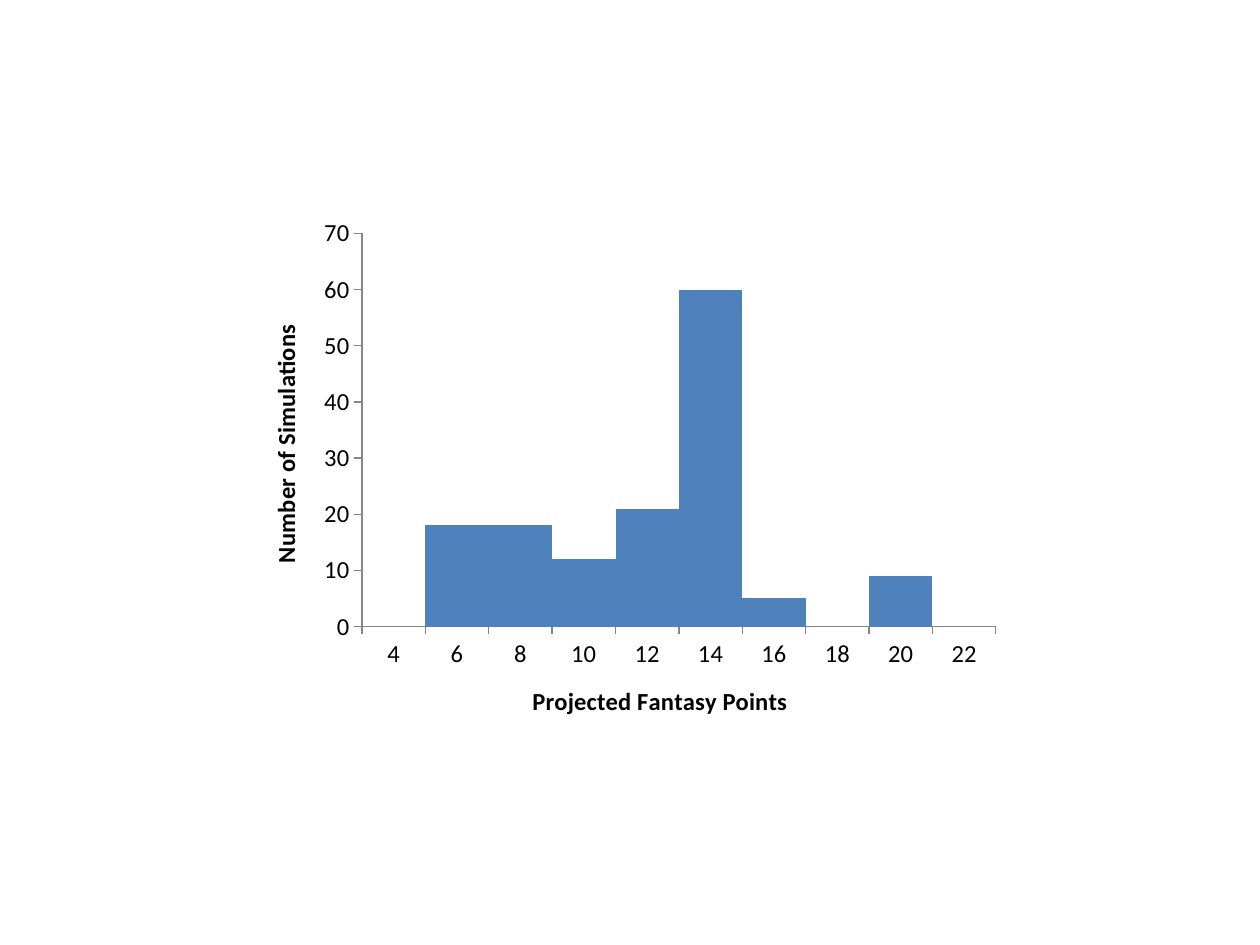
from lxml.etree import SubElement
from pptx import Presentation
from pptx.chart.data import CategoryChartData
from pptx.dml.color import RGBColor
from pptx.enum.chart import XL_CHART_TYPE as ChartType, XL_TICK_MARK as TickMark
from pptx.oxml.ns import qn
from pptx.util import Emu, Pt

EMU_PER_PX = 914400 // 126
COLORS = {"bar": "4F81BD", "axis": "868686", "text": "000000"}
FONT = {"name": "Calibri", "size": Pt(14)}
COUNTS = {4: 0, 6: 18, 8: 18, 10: 12, 12: 21, 14: 60, 16: 5, 18: 0, 20: 9, 22: 0}
PLOT_AREA = {"x": 0.143, "y": 0.037, "w": 0.832, "h": 0.749}


def px(length: int) -> Emu:
    return Emu(length * EMU_PER_PX)


def color(name: str) -> RGBColor:
    return RGBColor.from_string(COLORS[name])


def format_font(font, bold: bool) -> None:
    for attribute, value in {**FONT, "bold": bold}.items():
        setattr(font, attribute, value)
    font.color.rgb = color("text")


def format_axis(axis, title: str) -> None:
    settings = {
        "has_major_gridlines": False,
        "major_tick_mark": TickMark.OUTSIDE,
        "minor_tick_mark": TickMark.NONE,
    }
    for attribute, value in settings.items():
        setattr(axis, attribute, value)
    axis.format.line.color.rgb = color("axis")
    axis.format.line.width = Pt(0.75)
    format_font(axis.tick_labels.font, bold=False)
    frame = axis.axis_title.text_frame
    frame.text = title
    format_font(frame.paragraphs[0].runs[0].font, bold=True)


def set_plot_area(chart, area: dict[str, float]) -> None:
    plot_area = chart.plots[0]._element.getparent()
    layout = plot_area.find(qn("c:layout"))
    if layout is None:
        layout = SubElement(plot_area, qn("c:layout"))
        plot_area.insert(0, layout)
    manual = SubElement(layout, qn("c:manualLayout"))
    values = {"layoutTarget": "inner", "xMode": "edge", "yMode": "edge", **area}
    for tag, value in values.items():
        SubElement(manual, qn(f"c:{tag}")).set("val", str(value))


def main() -> None:
    presentation = Presentation()
    presentation.slide_width, presentation.slide_height = px(1260), px(945)
    slide = presentation.slides.add_slide(presentation.slide_layouts[6])

    # Histogram of simulated scores
    data = CategoryChartData()
    data.categories = [str(points) for points in COUNTS]
    data.add_series("Series 1", COUNTS.values())
    chart = slide.shapes.add_chart(
        ChartType.COLUMN_CLUSTERED, px(253), px(214), px(762), px(525), data
    ).chart
    chart.has_legend = False
    chart.has_title = False
    format_font(chart.font, bold=False)

    # Touching bars in one colour
    plot = chart.plots[0]
    plot.gap_width = 0
    plot.vary_by_categories = False
    fill = plot.series[0].format.fill
    fill.solid()
    fill.fore_color.rgb = color("bar")

    # Axes and plot position
    format_axis(chart.category_axis, "Projected Fantasy Points")
    format_axis(chart.value_axis, "Number of Simulations")
    for attribute, value in {"minimum_scale": 0, "maximum_scale": 70, "major_unit": 10}.items():
        setattr(chart.value_axis, attribute, value)
    set_plot_area(chart, PLOT_AREA)

    presentation.save("out.pptx")


if __name__ == "__main__":
    main()
